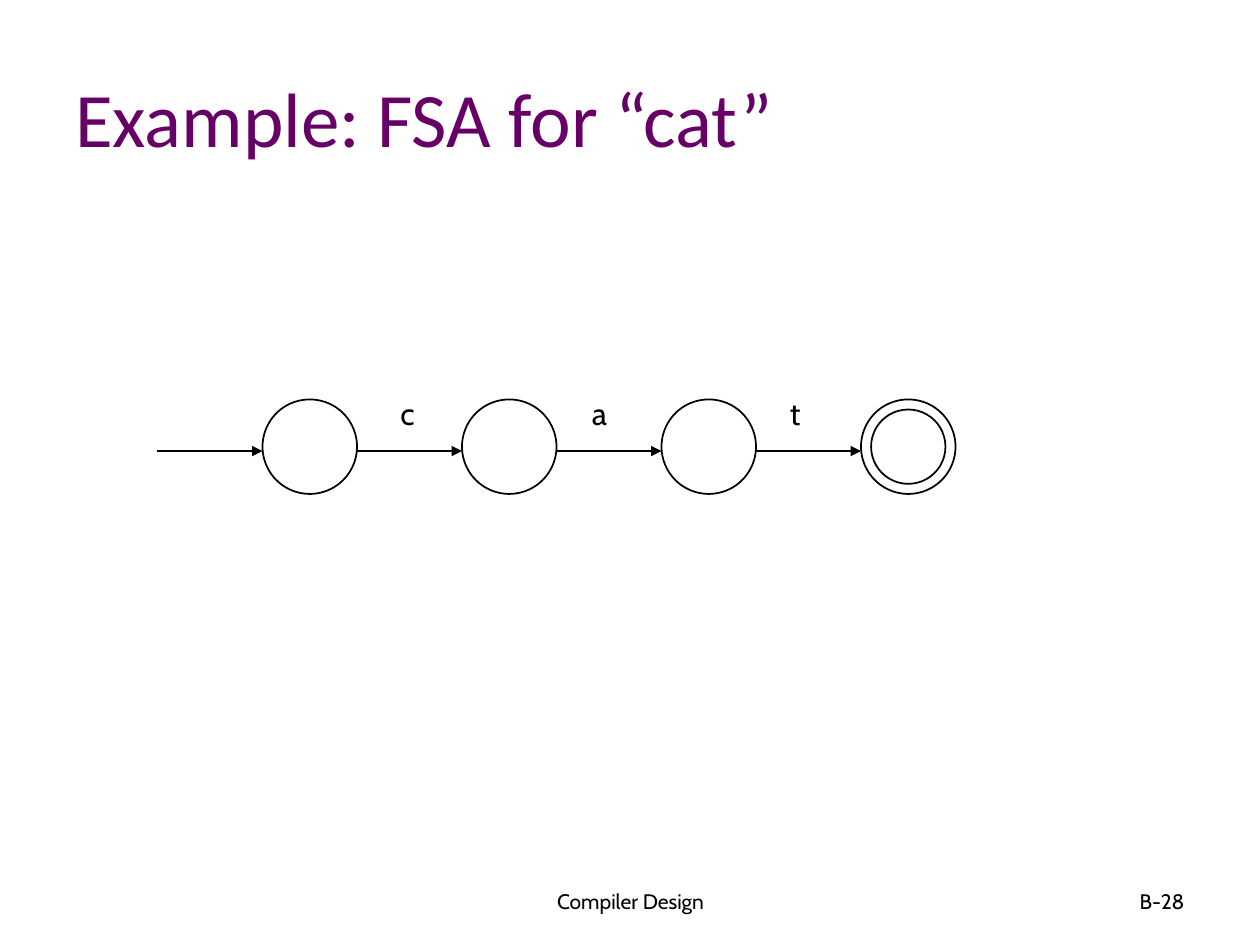
from dataclasses import dataclass

from lxml import etree
from pptx import Presentation, util as u
from pptx.dml.color import RGBColor
from pptx.enum import shapes, text
from pptx.oxml import ns


@dataclass(frozen=True)
class Theme:
    ink: RGBColor = RGBColor(0x00, 0x00, 0x00)
    accent: RGBColor = RGBColor(0x66, 0x00, 0x66)
    heading_font: str = "Calibri"
    body_font: str = "Cabin"
    title_size: int = 44
    label_size: int = 18
    footer_size: int = 12
    line_width: float = 1


THEME = Theme()
DIAMETER = 0.75
PITCH = 19 / 12  # distance between neighbouring states
ARROW_DROP = 0.41  # arrows run just below the centre of the states
RING_INSET = 0.08


def add_text(slide, box, wording, align=text.PP_ALIGN.LEFT,
             anchor=text.MSO_ANCHOR.MIDDLE, wrap=True, **font_format):
    shape = slide.shapes.add_textbox(*map(u.Inches, box))
    frame = shape.text_frame
    frame.word_wrap = wrap
    frame.vertical_anchor = anchor
    paragraph = frame.paragraphs[0]
    paragraph.text = wording
    paragraph.alignment = align
    values = {"name": THEME.body_font, "size": u.Pt(THEME.footer_size)} | font_format
    for name, value in values.items():
        setattr(paragraph.font, name, value)
    paragraph.font.color.rgb = font_format.get("color", THEME.ink)
    return shape


def style_line(line):
    line.color.rgb = THEME.ink
    line.width = u.Pt(THEME.line_width)


def add_circle(container, left, top, diameter):
    circle = container.add_shape(
        shapes.MSO_SHAPE.OVAL, *map(u.Inches, (left, top, diameter, diameter)))
    circle.shadow.inherit = False
    circle.fill.background()
    style_line(circle.line)


def add_arrow(slide, start, end, y):
    arrow = slide.shapes.add_connector(
        shapes.MSO_CONNECTOR.STRAIGHT, *map(u.Inches, (start, y, end, y)))
    style_line(arrow.line)
    etree.SubElement(arrow.line._get_or_add_ln(), ns.qn("a:tailEnd"), type="triangle")
    etree.SubElement(arrow._element.spPr, ns.qn("a:effectLst"))


def add_title(slide, box):
    shape = add_text(slide, box, "Example: FSA for “cat”",
                     name=THEME.heading_font, size=u.Pt(THEME.title_size))
    shape.text_frame.paragraphs[0].font.color.rgb = THEME.accent


def add_automaton(slide, left, top, labels):
    """Draw a chain of states from the left end of the entry arrow."""
    gap = PITCH - DIAMETER
    state_lefts = [left + gap + i * PITCH for i in range(len(labels) + 1)]

    # States, the last one accepting
    for state_left in state_lefts[:-1]:
        add_circle(slide.shapes, state_left, top, DIAMETER)
    accepting = slide.shapes.add_group_shape().shapes
    for inset in (0, RING_INSET):
        add_circle(accepting, state_lefts[-1] + inset, top + inset, DIAMETER - 2 * inset)

    # Entry arrow and transitions
    for state_left in state_lefts:
        add_arrow(slide, state_left - gap, state_left, top + ARROW_DROP)

    # Transition labels
    for letter, label_left, width in labels:
        add_text(slide, (label_left, top - 0.09, width, 0.4), letter,
                 anchor=text.MSO_ANCHOR.TOP, wrap=False, size=u.Pt(THEME.label_size))


def add_footer(slide, top, height):
    add_text(slide, (3.42, top, 3.17, height), "Compiler Design", text.PP_ALIGN.CENTER)
    add_text(slide, (7.17, top, 2.33, height), "B-28", text.PP_ALIGN.RIGHT)


def main():
    presentation = Presentation()
    presentation.slide_width = u.Inches(10)
    presentation.slide_height = u.Inches(7.5)
    slide = presentation.slides.add_slide(presentation.slide_layouts[6])
    add_title(slide, (0.5, 0.3, 9, 1.25))
    add_automaton(slide, 1.25, 3.17,
                  [("c", 3.08, 0.32), ("a", 4.6, 0.33), ("t", 6.17, 0.28)])
    add_footer(slide, 6.95, 0.4)
    presentation.save("out.pptx")


if __name__ == "__main__":
    main()
